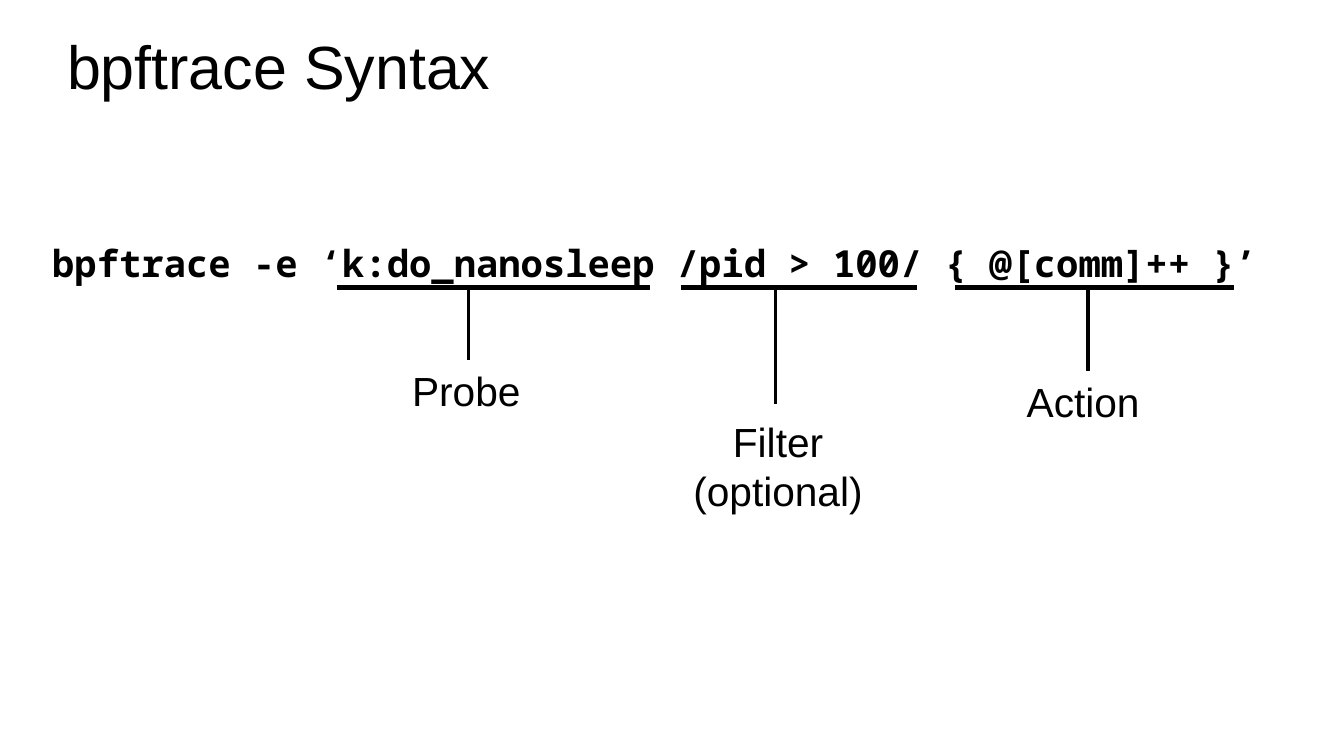
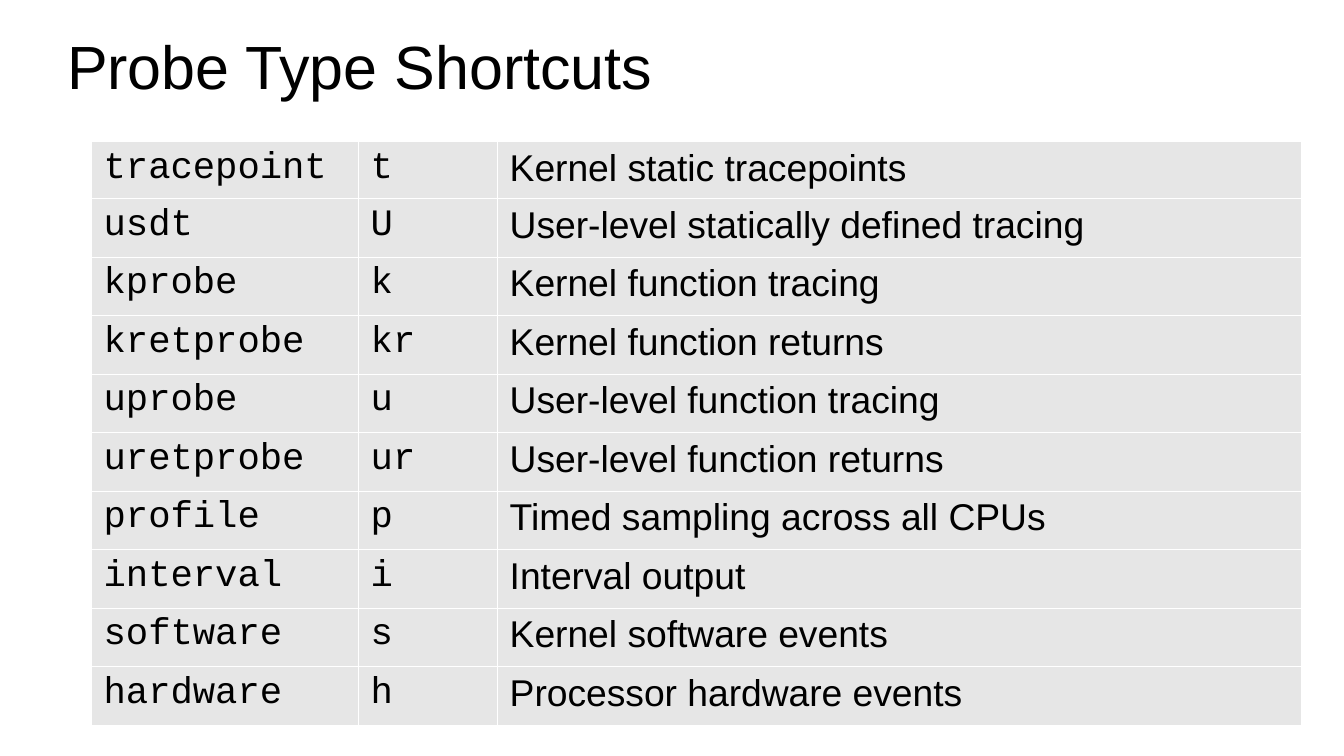
from dataclasses import dataclass

from lxml import etree
from pptx import Presentation
from pptx.dml.color import RGBColor
from pptx.enum.shapes import MSO_CONNECTOR
from pptx.enum.text import MSO_ANCHOR, PP_ALIGN
from pptx.oxml.ns import qn
from pptx.util import Inches, Pt

STRAIGHT = MSO_CONNECTOR.STRAIGHT
TOP, MIDDLE = MSO_ANCHOR.TOP, MSO_ANCHOR.MIDDLE
LEFT, CENTER = PP_ALIGN.LEFT, PP_ALIGN.CENTER
TOP_SIDE = 0


@dataclass(frozen=True)
class Theme:
    ink: str = "000000"
    paper: str = "FFFFFF"
    cell: str = "E6E6E6"
    body_font: str = "Arial"
    code_font: str = "Noto Sans Mono"
    table_code_font: str = "Courier New"
    title_size: float = 36
    label_size: float = 24
    code_size: float = 22
    underline_width: float = 2.89
    leader_width: float = 0
    border_width: float = 0.06
    inset_x: float = 0.1
    inset_y: float = 0.05


@dataclass(frozen=True)
class Callout:
    lines: tuple
    underline: tuple
    box: tuple
    leader_x: float
    leader_end: float
    align: PP_ALIGN = LEFT


THEME = Theme()
UNDERLINE_Y = 2.36
COMMAND = "bpftrace -e ‘k:do_nanosleep /pid > 100/ { @[comm]++ }’"
CALLOUTS = (
    Callout(("Probe",), (2.76, 5.33), (3.28, 2.95, 1.12, 0.9), 3.84, 2.95),
    Callout(("Filter", "(optional)"), (5.58, 7.52), (5.51, 3.37, 1.74, 1.31),
            6.36, 3.31, CENTER),
    Callout(("Action",), (7.83, 10.12), (8.32, 3.04, 1.2, 0.9), 8.92, 3.04),
)
PROBE_TYPES = (
    ("tracepoint", "t", "Kernel static tracepoints"),
    ("usdt", "U", "User-level statically defined tracing"),
    ("kprobe", "k", "Kernel function tracing"),
    ("kretprobe", "kr", "Kernel function returns"),
    ("uprobe", "u", "User-level function tracing"),
    ("uretprobe", "ur", "User-level function returns"),
    ("profile", "p", "Timed sampling across all CPUs"),
    ("interval", "i", "Interval output"),
    ("software", "s", "Kernel software events"),
    ("hardware", "h", "Processor hardware events"),
)
COLUMN_WIDTHS = (2.19, 1.14, 6.59)
COLUMN_FONTS = (THEME.table_code_font, THEME.table_code_font, THEME.body_font)
FIRST_ROW_HEIGHT, ROW_HEIGHT = 0.46, 0.48


def add_span(para, text, font, size, bold=False):
    span = para.add_run()
    span.text = text
    span.font.name = font
    span.font.size = Pt(size)
    span.font.bold = bold
    span.font.color.rgb = RGBColor.from_string(THEME.ink)


def add_text(page, area, lines, font, size, bold=False, align=LEFT,
             anchor=TOP, insets=(THEME.inset_x, THEME.inset_y)):
    box = page.shapes.add_textbox(*map(Inches, area))
    frame = box.text_frame
    frame.word_wrap = True
    frame.vertical_anchor = anchor
    frame.margin_left = frame.margin_right = Inches(insets[0])
    frame.margin_top = frame.margin_bottom = Inches(insets[1])
    for index, line in enumerate(lines):
        para = frame.add_paragraph() if index else frame.paragraphs[0]
        para.alignment = align
        add_span(para, line, font, size, bold)
    return box


def add_line(page, start, end, width):
    line = page.shapes.add_connector(STRAIGHT, *map(Inches, start + end))
    line.line.color.rgb = RGBColor.from_string(THEME.ink)
    line.line.width = Pt(width)
    etree.SubElement(line._element.spPr, qn("a:effectLst"))
    return line


def add_page(deck, title):
    page = deck.slides.add_slide(deck.slide_layouts[6])
    page.background.fill.solid()
    page.background.fill.fore_color.rgb = RGBColor.from_string(THEME.paper)
    add_text(page, (0.55, 0.14, 9.92, 0.78), (title,), THEME.body_font,
             THEME.title_size, anchor=MIDDLE, insets=(0, 0))
    return page


def add_callout(page, callout):
    left, right = callout.underline
    add_line(page, (left, UNDERLINE_Y), (right, UNDERLINE_Y),
             THEME.underline_width)
    label = add_text(page, callout.box, callout.lines, THEME.body_font,
                     THEME.label_size, align=callout.align)
    leader = add_line(page, (callout.leader_x, callout.leader_end),
                      (callout.leader_x, UNDERLINE_Y), THEME.leader_width)
    if callout.leader_end == callout.box[1]:
        leader.begin_connect(label, TOP_SIDE)


def set_borders(cell):
    properties = cell._tc.get_or_add_tcPr()
    for index, side in enumerate(("a:lnL", "a:lnR", "a:lnT", "a:lnB")):
        border = etree.Element(qn(side), w=str(Pt(THEME.border_width)))
        fill = etree.SubElement(border, qn("a:solidFill"))
        etree.SubElement(fill, qn("a:srgbClr"), val=THEME.paper)
        properties.insert(index, border)


def fill_cell(cell, text, font):
    cell.fill.solid()
    cell.fill.fore_color.rgb = RGBColor.from_string(THEME.cell)
    cell.margin_left = cell.margin_right = Inches(THEME.inset_x)
    cell.margin_top = cell.margin_bottom = Inches(THEME.inset_y)
    set_borders(cell)
    add_span(cell.text_frame.paragraphs[0], text, font, THEME.code_size)


def add_probe_table(page, left, top):
    heights = [FIRST_ROW_HEIGHT] + [ROW_HEIGHT] * (len(PROBE_TYPES) - 1)
    area = (left, top, sum(COLUMN_WIDTHS), sum(heights))
    table = page.shapes.add_table(len(PROBE_TYPES), len(COLUMN_WIDTHS),
                                  *map(Inches, area)).table
    table.first_row = table.horz_banding = False
    for column, width in zip(table.columns, COLUMN_WIDTHS):
        column.width = Inches(width)
    for row, height, texts in zip(table.rows, heights, PROBE_TYPES):
        row.height = Inches(height)
        for cell, text, font in zip(row.cells, texts, COLUMN_FONTS):
            fill_cell(cell, text, font)


def main():
    deck = Presentation()
    deck.slide_width = Inches(11.02)
    deck.slide_height = Inches(6.2)

    syntax_page = add_page(deck, "bpftrace Syntax")
    add_text(syntax_page, (0.33, 1.92, 10.47, 0.4), (COMMAND,),
             THEME.code_font, THEME.code_size, bold=True)
    for callout in CALLOUTS:
        add_callout(syntax_page, callout)

    shortcuts_page = add_page(deck, "Probe Type Shortcuts")
    add_probe_table(shortcuts_page, 0.75, 1.16)

    deck.save("out.pptx")


if __name__ == "__main__":
    main()
